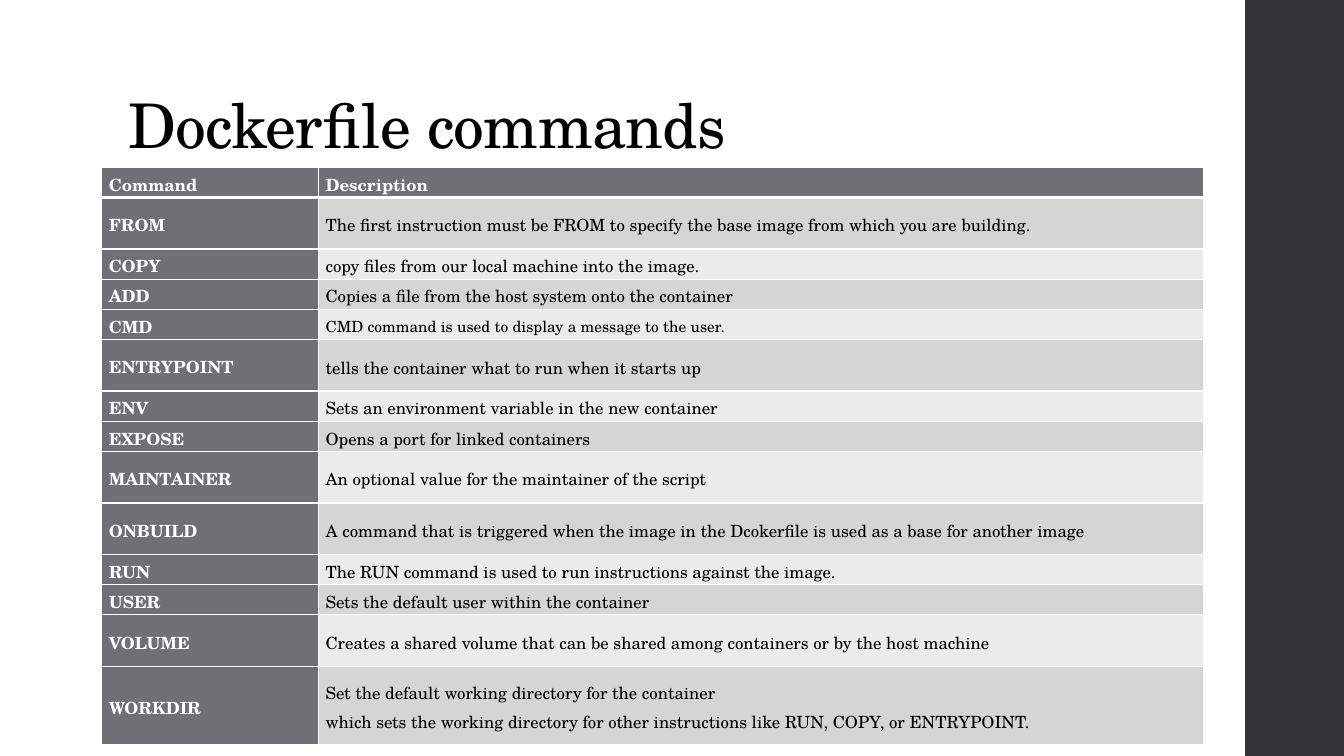
from lxml import etree
from pptx import Presentation
from pptx.dml.color import RGBColor
from pptx.enum.shapes import MSO_SHAPE
from pptx.enum.text import MSO_ANCHOR, PP_ALIGN
from pptx.oxml.ns import qn
from pptx.util import Inches, Pt

RECT = MSO_SHAPE.RECTANGLE
MIDDLE, BOTTOM = MSO_ANCHOR.MIDDLE, MSO_ANCHOR.BOTTOM
LEFT = PP_ALIGN.LEFT
TITLE_ONLY = 5

SHORT, TALL, DOUBLE = 0.3, 0.51, 0.78
COMMANDS = [
    ("Command", ["Description"], SHORT),
    ("FROM", ["The first instruction must be FROM to specify the base image "
              "from which you are building."], TALL),
    ("COPY", ["copy files from our local machine into the image."], SHORT),
    ("ADD", ["Copies a file from the host system onto the container"], SHORT),
    ("CMD", ["CMD command is used to display a message to the user."], SHORT),
    ("ENTRYPOINT", ["tells the container what to run when it starts up"], TALL),
    ("ENV", ["Sets an environment variable in the new container"], SHORT),
    ("EXPOSE", ["Opens a port for linked containers"], SHORT),
    ("MAINTAINER", ["An optional value for the maintainer of the script"], TALL),
    ("ONBUILD", ["A command that is triggered when the image in the Dcokerfile "
                 "is used as a base for another image"], TALL),
    ("RUN", ["The RUN command is used to run instructions against the image."], SHORT),
    ("USER", ["Sets the default user within the container"], SHORT),
    ("VOLUME", ["Creates a shared volume that can be shared among containers "
                "or by the host machine"], TALL),
    ("WORKDIR", ["Set the default working directory for the container",
                 "which sets the working directory for other instructions "
                 "like RUN, COPY, or ENTRYPOINT."], DOUBLE),
]


def rgb(value):
    return RGBColor.from_string(value)


class Deck:
    font = "TeX Gyre Schola"
    black, white = "000000", "FFFFFF"
    bar_fill, head_fill = "353537", "6F6F74"
    bands = ("EBEBEB", "D5D5D6")

    def __init__(self):
        self.prs = Presentation()
        self.prs.slide_width = Inches(13.33)
        self.prs.slide_height = Inches(7.5)
        self.s = self.prs.slides.add_slide(self.prs.slide_layouts[TITLE_ONLY])

    def run(self, p, text, size, color, bold=False):
        r = p.add_run()
        r.text = text
        r.font.name = self.font
        r.font.size = Pt(size)
        r.font.bold = bold
        r.font.color.rgb = rgb(color)
        return r

    def bar(self, x, y, w, h):
        sp = self.s.shapes.add_shape(RECT, Inches(x), Inches(y), Inches(w), Inches(h))
        sp.shadow.inherit = False
        sp.fill.solid()
        sp.fill.fore_color.rgb = rgb(self.bar_fill)
        sp.line.fill.background()

    def title(self, text, x, y, w, h):
        sp = self.s.shapes.title
        sp.left, sp.top, sp.width, sp.height = map(Inches, (x, y, w, h))
        tf = sp.text_frame
        tf.vertical_anchor = BOTTOM
        p = tf.paragraphs[0]
        p.alignment = LEFT
        p.line_spacing = 0.9
        r = self.run(p, text, 44, self.black)
        r.font._element.set("spc", "-50")

    def borders(self, cell, bottom):
        """Draw the white rules of a cell, the bottom one at its own width."""
        pr = cell._tc.get_or_add_tcPr()
        sides = (("a:lnL", 1), ("a:lnR", 1), ("a:lnT", 1), ("a:lnB", bottom))
        for i, (tag, width) in enumerate(sides):
            ln = etree.Element(qn(tag), w=str(Pt(width)))
            fill = etree.SubElement(ln, qn("a:solidFill"))
            etree.SubElement(fill, qn("a:srgbClr"), val=self.white)
            pr.insert(i, ln)

    def cell(self, cell, lines, fill, color, bold, size=12, bottom=1):
        cell.fill.solid()
        cell.fill.fore_color.rgb = rgb(fill)
        cell.vertical_anchor = MIDDLE
        cell.margin_left = cell.margin_right = Inches(0.07)
        cell.margin_top = cell.margin_bottom = 0
        tf = cell.text_frame
        for i, line in enumerate(lines):
            p = tf.add_paragraph() if i else tf.paragraphs[0]
            p.line_spacing = 1.15
            self.run(p, line, size, color, bold)
        self.borders(cell, bottom)

    def table(self, rows, x, y, widths):
        height = sum(row[2] for row in rows)
        frame = self.s.shapes.add_table(len(rows), len(widths), Inches(x), Inches(y),
                                        Inches(sum(widths)), Inches(height))
        table = frame.table
        for column, width in zip(table.columns, widths):
            column.width = Inches(width)
        for i, (name, lines, row_height) in enumerate(rows):
            table.rows[i].height = Inches(row_height)
            header = i == 0
            bottom = 3 if header else 1
            self.cell(table.cell(i, 0), [name], self.head_fill, self.white, True,
                      bottom=bottom)
            self.cell(table.cell(i, 1), lines,
                      self.head_fill if header else self.bands[i % 2],
                      self.white if header else self.black, header,
                      size=11 if name == "CMD" else 12, bottom=bottom)


def main():
    deck = Deck()
    deck.bar(12.35, 0, 1, 7.5)
    deck.title("Dockerfile commands", 1.17, 0.53, 11, 1.13)
    deck.table(COMMANDS, 1.01, 1.66, (2.15, 8.78))
    deck.prs.save("out.pptx")


if __name__ == "__main__":
    main()
